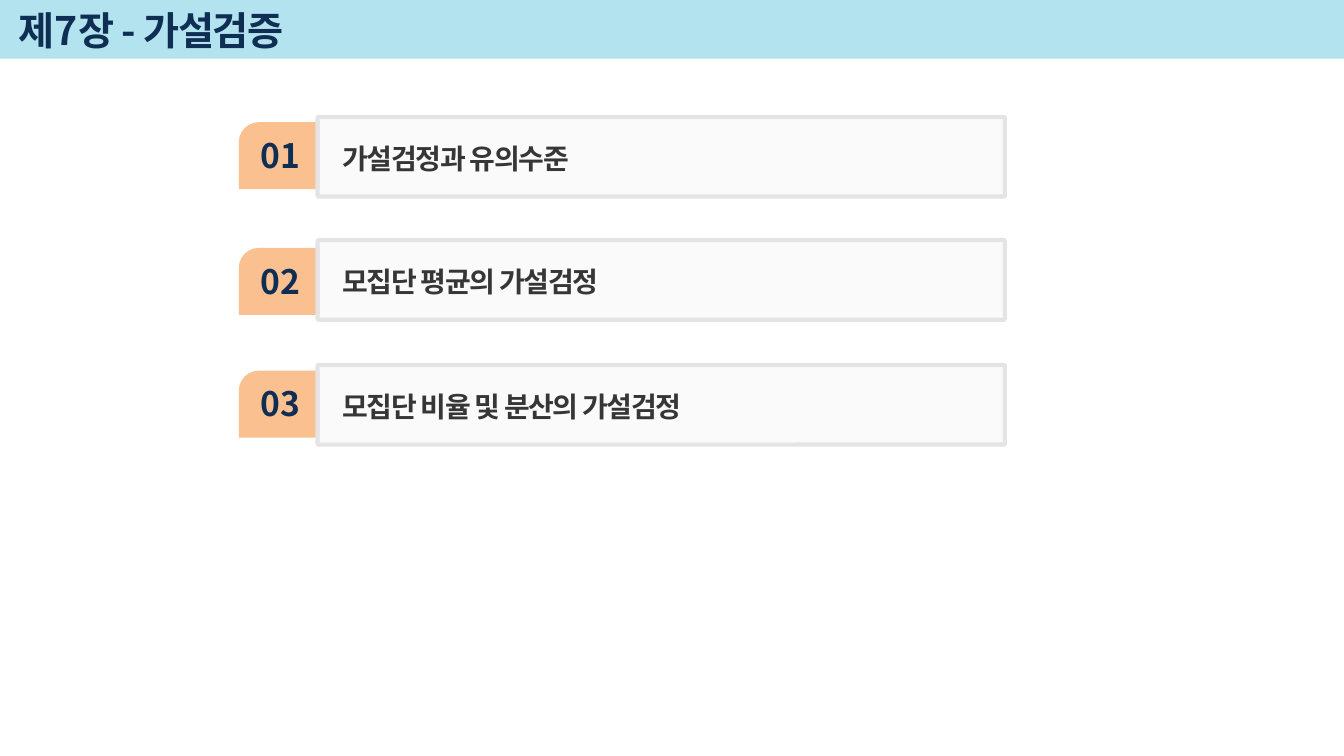
import pptx
import pptx.dml.color
import pptx.enum.shapes
import pptx.enum.text
import pptx.oxml
import pptx.oxml.ns
import pptx.util

Pt = pptx.util.Pt
SHAPES = pptx.enum.shapes.MSO_SHAPE
ALIGN = pptx.enum.text.PP_ALIGN
ANCHOR = pptx.enum.text.MSO_ANCHOR
FONT = "Noto Sans CJK KR"
NAVY = "0F2E53"
CHARCOAL = "363636"
TOPICS = [
    ("01", "가설검정과 유의수준", 83.5, 87.3),
    ("02", "모집단 평균의 가설검정", 171.5, 177.1),
    ("03", "모집단 비율 및 분산의 가설검정", 260.7, 264.8),
]


def rgb(color):
    """Turn a hex string into a colour."""
    return pptx.dml.color.RGBColor.from_string(color)


def set_values(target, values):
    """Set each attribute named in a dict of format values."""
    for name, value in values.items():
        setattr(target, name, value)


def add_block(slide, kind, box, fill, adjustments=()):
    """Add a filled preset shape without outline or shadow."""
    shape = slide.shapes.add_shape(kind, *map(Pt, box))
    shape.shadow.inherit = False
    shape.fill.solid()
    shape.fill.fore_color.rgb = rgb(fill)
    shape.line.fill.background()
    for index, value in enumerate(adjustments):
        shape.adjustments[index] = value
    return shape


def add_panel(slide, box):
    """Add a translucent panel with a grey outline."""
    panel = add_block(slide, SHAPES.ROUNDED_RECTANGLE, box, "F2F2F2", [0.02])
    panel.line.color.rgb = rgb("E4E4E4")
    panel.line.width = Pt(3)
    color = panel.fill._xPr.find(".//" + pptx.oxml.ns.qn("a:srgbClr"))
    alpha = pptx.oxml.parse_xml(f'<a:alpha {pptx.oxml.ns.nsdecls("a")} val="33000"/>')
    color.append(alpha)


def add_text(slide, text, box, size, color, frame_format, paragraph_format, spacing=0):
    """Add one line of bold text."""
    frame = slide.shapes.add_textbox(*map(Pt, box)).text_frame
    set_values(frame, frame_format)
    paragraph = frame.paragraphs[0]
    set_values(paragraph, paragraph_format)
    run = paragraph.add_run()
    run.text = text
    set_values(run.font, {"name": FONT, "size": Pt(size), "bold": True})
    run.font.color.rgb = rgb(color)
    properties = run._r.get_or_add_rPr()
    properties.set("spc", str(spacing * 100))
    properties.append(pptx.oxml.parse_xml(
        f'<a:ea {pptx.oxml.ns.nsdecls("a")} typeface="{FONT}"/>'))


def add_topic(slide, number, label, panel_top, badge_top):
    """Add a numbered badge with its labelled panel."""
    add_block(slide, SHAPES.SNIP_ROUND_RECTANGLE, (170.6, badge_top, 57.6, 47.8),
              "FAC090", [0.3, 0])
    add_panel(slide, (226.8, panel_top, 491, 56.9))
    add_text(slide, number, (179.3, badge_top + 5.5, 42.5, 36), 24, NAVY,
             {"word_wrap": False}, {"alignment": ALIGN.CENTER})
    add_text(slide, label, (237.6, panel_top + 11.6, 380, 31.7), 20, CHARCOAL,
             {"word_wrap": True}, {"line_spacing": 1.1, "space_after": Pt(3)}, -1)


def main():
    """Build the chapter contents slide."""
    presentation = pptx.Presentation()
    set_values(presentation, {"slide_width": Pt(960), "slide_height": Pt(540)})
    slide = presentation.slides.add_slide(presentation.slide_layouts[6])
    add_block(slide, SHAPES.RECTANGLE, (0, 0, 960, 42), "B3E3EE")
    add_text(slide, "제7장 - 가설검증", (6.5, 2.9, 817, 37.4), 28, NAVY,
             {"word_wrap": True, "vertical_anchor": ANCHOR.MIDDLE}, {}, -1)
    for topic in TOPICS:
        add_topic(slide, *topic)
    presentation.save("out.pptx")


if __name__ == "__main__":
    main()
